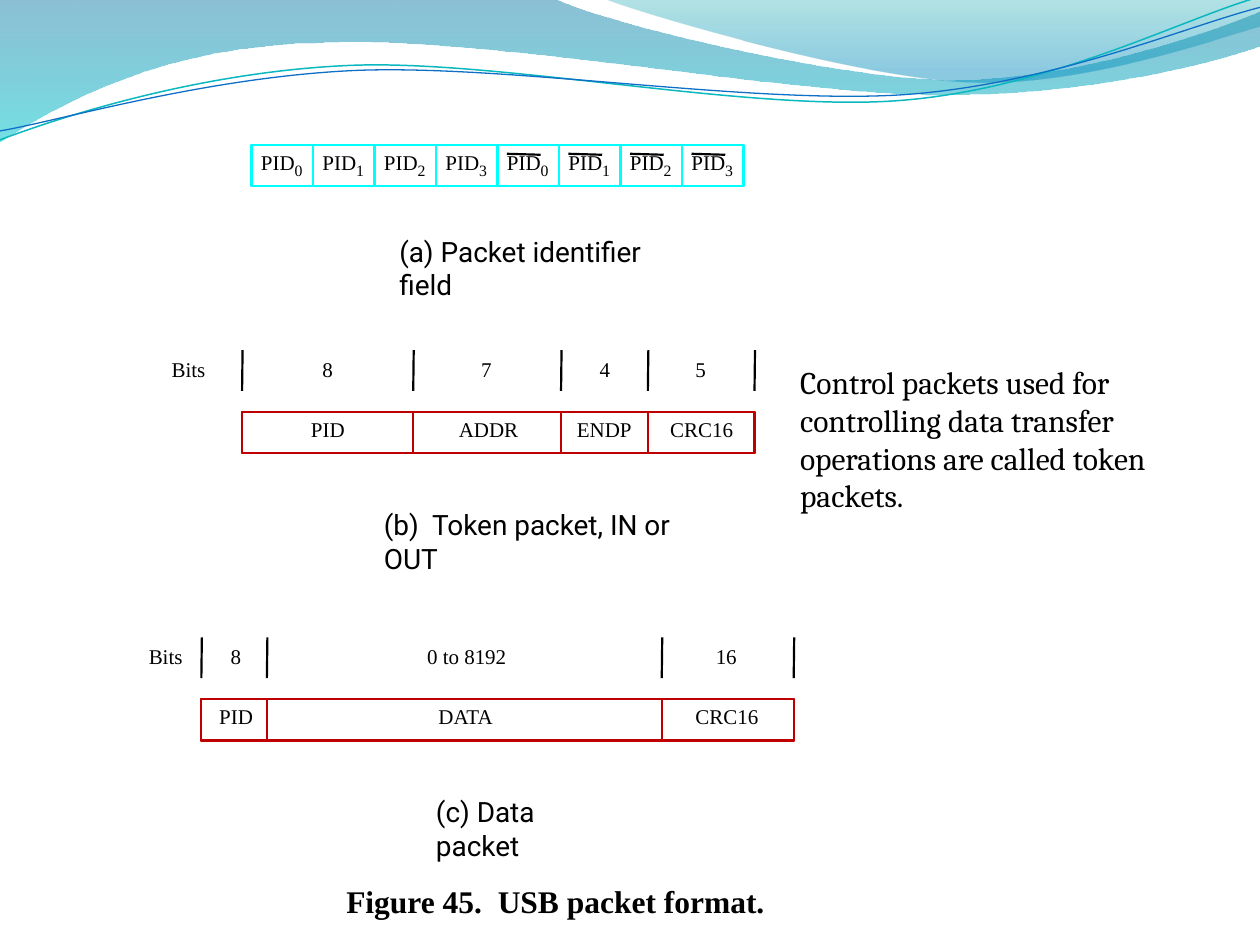
from dataclasses import dataclass
from itertools import chain

from lxml import etree
from pptx import Presentation
from pptx.dml.color import RGBColor
from pptx.enum.shapes import MSO_CONNECTOR, MSO_SHAPE
from pptx.enum.text import MSO_ANCHOR, MSO_AUTO_SIZE
from pptx.oxml.ns import qn
from pptx.enum.text import PP_ALIGN
from pptx.util import Cm, Pt

LEFT = PP_ALIGN.LEFT
TOP = MSO_ANCHOR.TOP
NO_AUTOFIT = MSO_AUTO_SIZE.NONE
RECTANGLE = MSO_SHAPE.RECTANGLE
STRAIGHT = MSO_CONNECTOR.STRAIGHT

COLORS = {
    "text": "000000", "background": "FFFFFF",
    "identifier": "00FFFF", "packet": "C00000",
    "wave_top": "0074A1", "wave_bottom": "00C6CF",
    "crest_top": "00A1A9", "crest_bottom": "008BBF",
    "teal_curve": "0AB8BF", "blue_curve": "0F6FC6",
}
SERIF, SANS, BODY = "Times New Roman", "Roboto", "Cambria"
BOX_HEIGHT = 0.83
LINE_WIDTH = 1.25

Point = tuple[float, float]


@dataclass
class GradientStop:
    position: float
    color: str
    opacity: int


@dataclass
class Field:
    name: str
    name_left: float
    bits: str
    bits_left: float
    right: float


@dataclass
class Packet:
    left: float
    top: float
    heading_left: float
    fields: list[Field]


@dataclass
class Caption:
    text: str
    left: float
    top: float
    width: float


PACKETS = [
    Packet(4.88, 8.31, 3.46, [
        Field("PID", 6.27, "8", 6.5, 8.33), Field("ADDR", 9.25, "7", 9.7, 11.31),
        Field("ENDP", 11.63, "4", 12.09, 13.06), Field("CRC16", 13.51, "5", 14.02, 15.21)]),
    Packet(4.06, 14.1, 3.0, [
        Field("PID", 4.42, "8", 4.65, 5.38), Field("DATA", 8.84, "0 to 8192", 8.61, 13.34),
        Field("CRC16", 14.02, "16", 14.43, 16.0)]),
]
CAPTIONS = [
    Caption("(a) Packet identifier field", 8.05, 4.72, 5.82),
    Caption("(b)  Token packet, IN or OUT", 7.74, 10.24, 6.78),
    Caption("(c) Data packet", 8.79, 16.02, 3.45),
]

# Background outlines: a start point, then lines (1 point) or Bézier curves (3 points).
WAVE = [[(0, -0.03)], [(11.18, -0.03)],
        [(12.09, 0.43), (16.87, 1.6), (19.25, 1.6)],
        [(21.67, 1.6), (24.33, 0.66), (25.4, 0.23)], [(25.43, 0.91)],
        [(24.97, 1.12), (22.1, 1.93), (18.95, 1.91)],
        [(15.8, 1.91), (9.7, 0.71), (6.53, 0.86)],
        [(3.28, 0.89), (1.17, 2.11), (-0.03, 2.87)]]
CREST = [[(12.17, -0.03)], [(12.93, 0.28), (17.32, 1.57), (19.53, 1.65)],
         [(21.74, 1.75), (24.41, 0.81), (25.4, 0.53)], [(25.4, 0)]]
TEAL_CURVE = [[(0, 2.82)], [(1.22, 2.36), (4.01, 1.45), (7.04, 1.32)],
              [(10.03, 1.19), (15.06, 2.26), (18.11, 2.03)],
              [(21.16, 1.8), (23.83, 0.38), (25.35, -0.05)]]
BLUE_CURVE = [[(0, 2.64)], [(1.19, 2.44), (4.17, 1.55), (7.19, 1.42)],
              [(10.24, 1.3), (15.16, 2.11), (18.21, 1.91)],
              [(21.23, 1.7), (23.9, 0.53), (25.4, 0.15)]]


def rgb(name: str) -> RGBColor:
    return RGBColor.from_string(COLORS[name])


def add_outline(slide, segments: list[list[Point]], closed: bool):
    """Build a freeform, then merge the line triples of each curve into a Bézier."""
    points = [(Cm(x), Cm(y)) for x, y in chain.from_iterable(segments)]
    builder = slide.shapes.build_freeform(*points[0])
    builder.add_line_segments(points[1:], close=closed)
    shape = builder.convert_to_shape()
    shape.shadow.inherit = False
    lines = iter(list(shape._element.iter(qn("a:lnTo"))))
    for segment in segments[1:]:
        first, *others = [next(lines) for _ in segment]
        if others:
            first.tag = qn("a:cubicBezTo")
        for line in others:
            first.append(line[0])
            line.getparent().remove(line)
    return shape


def add_wave(slide, segments: list[list[Point]], stops: list[GradientStop]) -> None:
    shape = add_outline(slide, segments, closed=True)
    shape.line.fill.background()
    shape.fill.gradient()
    shape.fill.gradient_angle = 270
    for target, stop in zip(shape.fill.gradient_stops, stops):
        target.position = stop.position
        target.color.rgb = rgb(stop.color)
    colors = shape.fill._xPr.iter(qn("a:srgbClr"))
    for element, stop in zip(colors, stops):
        etree.SubElement(element, qn("a:alpha"), val=str(stop.opacity * 1000))


def add_curve(slide, segments: list[list[Point]], color: str, width: float) -> None:
    shape = add_outline(slide, segments, closed=False)
    shape.fill.background()
    shape.line.color.rgb = rgb(color)
    shape.line.width = Pt(width)


def add_box(slide, left: float, top: float, width: float, color: str):
    shape = slide.shapes.add_shape(RECTANGLE, Cm(left), Cm(top), Cm(width), Cm(BOX_HEIGHT))
    shape.shadow.inherit = False
    shape.fill.background()
    shape.line.color.rgb = rgb(color)
    shape.line.width = Pt(LINE_WIDTH)
    return shape


def add_line(slide, start: Point, end: Point) -> None:
    line = slide.shapes.add_connector(STRAIGHT, *(Cm(value) for value in (*start, *end)))
    line.line.color.rgb = rgb("text")
    line.line.width = Pt(LINE_WIDTH)
    etree.SubElement(line._element.spPr, qn("a:effectLst"))


def write(shape, text: str, size: float, font: str = SERIF, wrap: bool = False,
          margin: Point = (0, 0), bold: bool = False) -> None:
    frame = shape.text_frame
    frame.text = text
    frame.word_wrap = wrap
    frame.auto_size = NO_AUTOFIT
    frame.vertical_anchor = TOP
    frame.margin_left = frame.margin_right = Cm(margin[0])
    frame.margin_top = frame.margin_bottom = Cm(margin[1])
    paragraph = frame.paragraphs[0]
    paragraph.alignment = LEFT
    run_font = paragraph.runs[0].font
    run_font.name, run_font.size, run_font.bold = font, Pt(size), bold
    run_font.color.rgb = rgb("text")


def add_text(slide, text: str, left: float, top: float, width: float,
             height: float, size: float, **style) -> None:
    box = slide.shapes.add_textbox(Cm(left), Cm(top), Cm(width), Cm(height))
    write(box, text, size, **style)


def add_label(slide, text: str, left: float, top: float) -> None:
    add_text(slide, text, left, top, 0.2 + 0.25 * len(text), 0.69, 12)


def add_identifier_field(slide, left: float, top: float, cell_width: float) -> None:
    """Draw PID bits 0 to 3, then the same bits complemented."""
    panel = add_box(slide, left, top, 8 * cell_width, "background")
    panel.fill.solid()
    panel.fill.fore_color.rgb = rgb("background")
    add_box(slide, left, top, 8 * cell_width, "identifier")
    for index in range(8):
        cell_left = left + index * cell_width
        text_left = cell_left + 0.19
        add_box(slide, cell_left, top, cell_width, "identifier")
        if index >= 4:
            add_line(slide, (text_left, top + 0.18), (text_left + 0.68, top + 0.2))
        add_label(slide, "PID", text_left, top + 0.1)
        add_text(slide, str(index % 4), text_left + 0.68, top + 0.33, 0.36, 0.56, 9)


def add_packet(slide, packet: Packet) -> None:
    bits_top = packet.top - 1.12
    add_label(slide, "Bits", packet.heading_left, bits_top)
    left = packet.left
    for field in packet.fields:
        add_box(slide, left, packet.top, field.right - left, "packet")
        add_label(slide, field.name, field.name_left, packet.top + 0.08)
        add_label(slide, field.bits, field.bits_left, bits_top)
        left = field.right
    add_box(slide, packet.left, packet.top, left - packet.left, "packet")
    for x in (packet.left, *(field.right for field in packet.fields)):
        add_line(slide, (x, packet.top - 0.43), (x + 0.01, packet.top - 1.25))


def main() -> None:
    presentation = Presentation()
    presentation.slide_width, presentation.slide_height = Cm(25.4), Cm(19.05)
    slide = presentation.slides.add_slide(presentation.slide_layouts[5])

    add_wave(slide, WAVE, [GradientStop(0, "wave_top", 45), GradientStop(1, "wave_bottom", 55)])
    add_wave(slide, CREST, [GradientStop(0, "crest_top", 30),
                            GradientStop(0.8, "crest_bottom", 45)])
    add_curve(slide, TEAL_CURVE, "teal_curve", 0.85)
    add_curve(slide, BLUE_CURVE, "blue_curve", 0.75)

    add_identifier_field(slide, 5.07, 2.92, 1.24)
    for packet in PACKETS:
        add_packet(slide, packet)
    for caption in CAPTIONS:
        add_text(slide, caption.text, caption.left, caption.top, caption.width, 0.69, 16,
                 font=SANS, wrap=True)

    title = slide.shapes.title
    title.left, title.top, title.width, title.height = Cm(6.98), Cm(17.78), Cm(8.46), Cm(0.77)
    write(title, "Figure 45.  USB packet format.", 18, bold=True)
    add_text(slide, "Control packets used for controlling data transfer operations "
             "are called token packets.", 15.88, 7.19, 8.46, 3.33, 18,
             font=BODY, wrap=True, margin=(0.25, 0.13))

    presentation.save("out.pptx")


if __name__ == "__main__":
    main()
